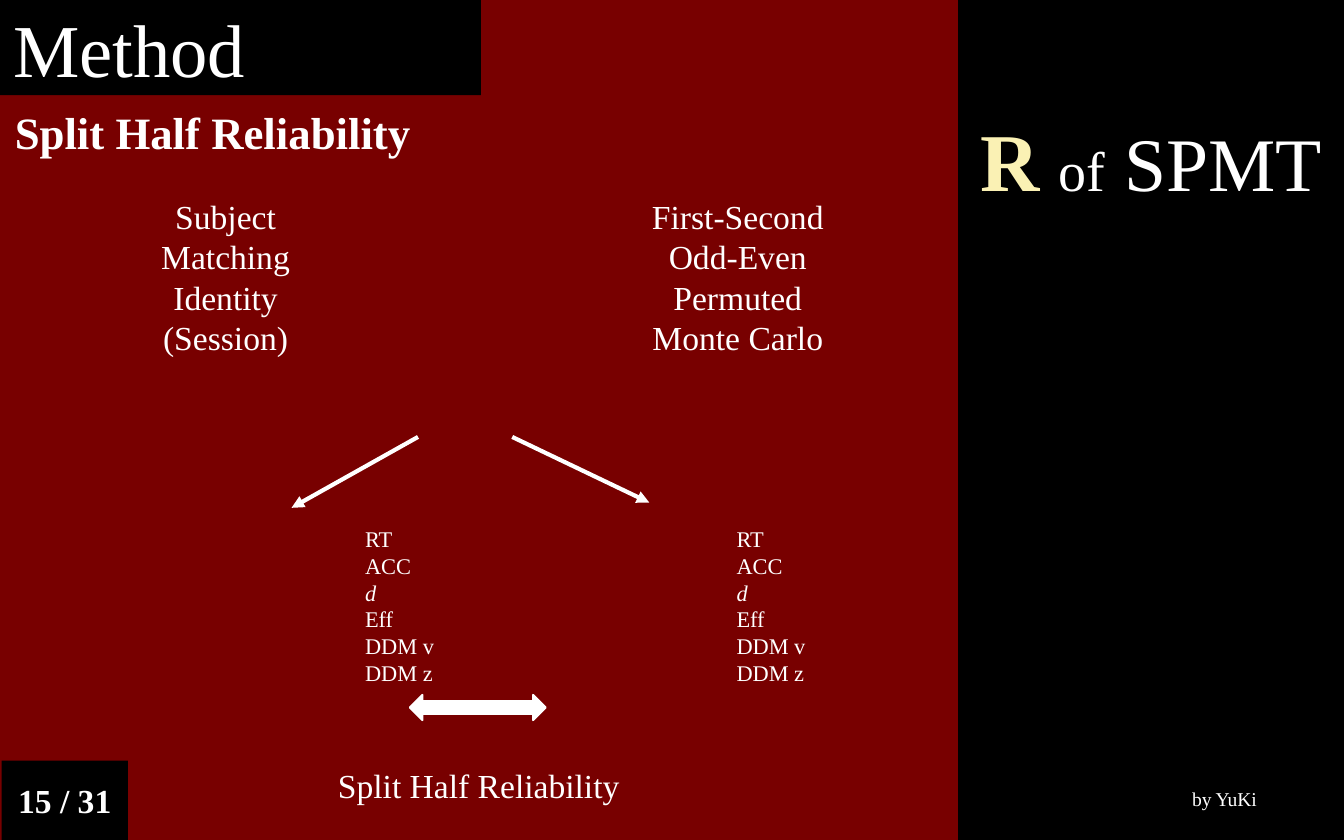
from dataclasses import dataclass
from pptx import Presentation
from pptx.dml.color import RGBColor as RGB
from pptx.enum.shapes import MSO_CONNECTOR as Link, MSO_SHAPE as Shape
from pptx.enum.text import MSO_ANCHOR as Anchor, PP_ALIGN as Align
from pptx.oxml.ns import qn
from pptx.util import Cm, Pt
from lxml.etree import SubElement


@dataclass
class Theme:
    face: str = "Times New Roman"
    red: RGB = RGB(0x78, 0, 0)
    black: RGB = RGB(0, 0, 0)
    white: RGB = RGB(255, 255, 255)
    cream: RGB = RGB(0xFA, 0xF1, 0xB4)
    mark: float = 44
    name: float = 40.5
    title: float = 40
    small: float = 30
    head: float = 24
    body: float = 18
    list: float = 12
    note: float = 10.5


theme = Theme()


def write(para, text, size, color=theme.white, **style):
    run = para.add_run()
    run.text = text
    style = {"name": theme.face, "size": Pt(size), **style}
    for key, value in style.items():
        setattr(run.font, key, value)
    run.font.color.rgb = color


def place(area, lines, size, align=Align.LEFT, fill=None, **style):
    area = [Cm(n) for n in area]
    if fill is None:
        box = slide.shapes.add_textbox(*area)
    else:
        box = slide.shapes.add_shape(Shape.RECTANGLE, *area)
        box.shadow.inherit = False
        box.fill.solid()
        box.fill.fore_color.rgb = fill
        box.line.fill.background()
    frame = box.text_frame
    frame.word_wrap = True
    frame.vertical_anchor = Anchor.TOP if fill is None else Anchor.MIDDLE
    for i, text in enumerate(lines):
        para = frame.add_paragraph() if i else frame.paragraphs[0]
        para.alignment = align
        if text:
            write(para, text, size, italic=text == "d", **style)
    return frame


deck = Presentation()
deck.slide_width, deck.slide_height = Cm(25.4), Cm(15.88)
slide = deck.slides.add_slide(deck.slide_layouts[6])
back = slide.background.fill
back.solid()
back.fore_color.rgb = theme.red

panel = place((18.11, 0, 7.29, 15.88), [""], theme.name, Align.CENTER, theme.black)
panel.vertical_anchor = Anchor.TOP
panel.margin_top = Cm(2.06)
brand = panel.paragraphs[0]
write(brand, "R", theme.mark, theme.cream, bold=True)
for text, size in ((" ", theme.name), ("of", theme.small), (" SPMT", theme.name)):
    write(brand, text, size)

place((22.28, 14.76, 1.93, 0.71), ["by YuKi"], theme.note)
place((0, 0, 9.09, 1.8), ["Method"], theme.title, fill=theme.black)
place((0.03, 14.38, 2.39, 1.5), ["15 / 31"], theme.body, Align.CENTER,
      theme.black, bold=True)
place((0.03, 1.85, 8.1, 1.27), ["Split Half Reliability"], theme.head, bold=True)

groups = {
    1.47: ["Subject", "Matching", "Identity", "(Session)"],
    11.15: ["First-Second", "Odd-Even", "Permuted", "Monte Carlo"],
}
for left, lines in groups.items():
    place((left, 3.58, 5.59, 3.33), lines, theme.body, Align.CENTER)

scores = ["RT", "ACC", "d", "Eff", "DDM v", "DDM z"]
for left in (6.65, 13.67):
    place((left, 9.8, 2.16, 3.33), scores, theme.list)
place((5.99, 14.33, 6.12, 1.02), ["Split Half Reliability"], theme.body, Align.CENTER)

for ends in ((7.9, 8.26, 5.51, 9.6), (9.68, 8.26, 12.27, 9.5)):
    arrow = slide.shapes.add_connector(Link.STRAIGHT, *[Cm(n) for n in ends])
    arrow.line.color.rgb = theme.white
    arrow.line.width = Pt(2.25)
    SubElement(arrow.line._get_or_add_ln(), qn("a:tailEnd"), type="triangle")
    SubElement(arrow._element.spPr, qn("a:effectLst"))

pair = slide.shapes.add_shape(Shape.UP_DOWN_ARROW, Cm(8.79), Cm(12.09), Cm(0.48), Cm(2.57))
pair.rotation = 270
pair.shadow.inherit = False
pair.fill.solid()
pair.fill.fore_color.rgb = theme.white
pair.line.color.rgb = theme.white
pair.line.width = Pt(1)

deck.save("out.pptx")
